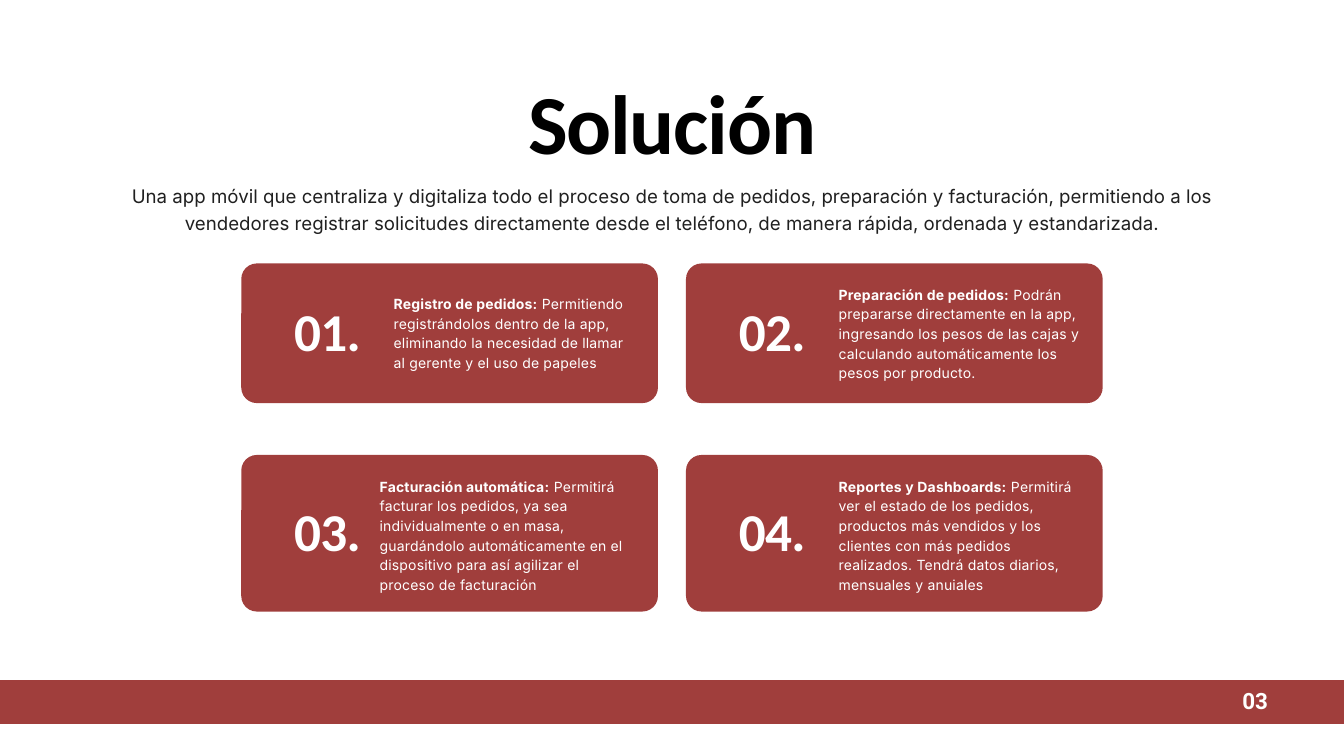
import pptx
import pptx.dml.color
import pptx.enum.shapes
import pptx.enum.text
import pptx.util

Cm, Pt = pptx.util.Cm, pptx.util.Pt
ALIGN = pptx.enum.text.PP_ALIGN

COLORS = {"brick": "A03E3C", "white": "FFFFFF", "ink": "202020", "black": "000000"}

# Text styles: font attributes, colour, alignment, line height and tracking in points
STYLES = {
    "title": dict(font=dict(name="Calibri", size=Pt(90), bold=True),
                  color="black", align=ALIGN.CENTER, line=90, spacing=-1.3),
    "intro": dict(font=dict(name="Inter", size=Pt(20), bold=False),
                  color="ink", align=ALIGN.CENTER, line=28.8, spacing=0),
    "number": dict(font=dict(name="Calibri", size=Pt(57), bold=True),
                   color="white", align=ALIGN.CENTER, line=57, spacing=-0.8),
    "body": dict(font=dict(name="Inter", size=Pt(15), bold=False),
                 color="white", align=ALIGN.LEFT, line=21, spacing=0.2),
    "page": dict(font=dict(name="Roboto", size=Pt(24), bold=True),
                 color="white", align=ALIGN.RIGHT, line=34.6, spacing=0),
}


class Deck:
    def __init__(self, width, height):
        self.prs = pptx.Presentation()
        self.prs.slide_width, self.prs.slide_height = Cm(width), Cm(height)
        self.s = self.prs.slides.add_slide(self.prs.slide_layouts[6])

    def color(self, name):
        return pptx.dml.color.RGBColor.from_string(COLORS[name])

    def panel(self, x, y, w, h, radius):
        sp = self.s.shapes.add_shape(
            pptx.enum.shapes.MSO_SHAPE.ROUNDED_RECTANGLE, Cm(x), Cm(y), Cm(w), Cm(h))
        sp.adjustments[0] = radius / min(w, h)
        sp.shadow.inherit = False
        sp.fill.solid()
        sp.fill.fore_color.rgb = self.color("brick")
        sp.line.fill.background()

    def text(self, x, y, w, h, style, text, lead=""):
        """Add a text box; lead is an optional bold opening."""
        look = STYLES[style]
        tf = self.s.shapes.add_textbox(Cm(x), Cm(y), Cm(w), Cm(h)).text_frame
        frame = dict(word_wrap=True, margin_left=0, margin_top=0,
                     margin_right=0, margin_bottom=0)
        for key, value in frame.items():
            setattr(tf, key, value)
        p = tf.paragraphs[0]
        p.alignment, p.line_spacing = look["align"], Pt(look["line"])
        runs = [(lead, {"bold": True})] if lead else []
        for words, extra in runs + [(text, {})]:
            r = p.add_run()
            r.text = words
            for key, value in {**look["font"], **extra}.items():
                setattr(r.font, key, value)
            r.font.color.rgb = self.color(look["color"])
            if look["spacing"]:
                r.font._element.set("spc", str(round(look["spacing"] * 100)))


# Card grid
COLUMNS = (9.12, 25.93)
ROWS = ((9.96, 5.28, 1.72), (17.2, 5.92, 2.03))  # top, height, number offset
CARD_WIDTH = 15.75

# Body offset from the card (x, y), body size (w, h), heading, text
CARDS = [
    (5.76, 1.11, 9.02, 2.97, "Registro de pedidos:",
     " Permitiendo registrándolos dentro de la app, eliminando la necesidad "
     "de llamar al gerente y el uso de papeles"),
    (5.77, 0.76, 9.47, 3.71, "Preparación de pedidos:",
     " Podrán prepararse directamente en la app, ingresando los pesos de las "
     "cajas y calculando automáticamente los pesos por producto."),
    (5.23, 0.78, 9.55, 4.45, "Facturación automática:",
     " Permitirá facturar los pedidos, ya sea individualmente o en masa, "
     "guardándolo automáticamente en el dispositivo para así agilizar el "
     "proceso de facturación"),
    (5.77, 0.78, 9.47, 4.45, "Reportes y Dashboards:",
     " Permitirá ver el estado de los pedidos, productos más vendidos y los "
     "clientes con más pedidos realizados. Tendrá datos diarios, mensuales y "
     "anuiales"),
]


def main():
    deck = Deck(50.8, 28.58)

    # Heading
    deck.text(13.67, 3.3, 23.47, 3.33, "title", "Solución")
    deck.text(3.25, 6.83, 44.32, 1.98, "intro",
              "Una app móvil que centraliza y digitaliza todo el proceso de toma de "
              "pedidos, preparación y facturación, permitiendo a los vendedores "
              "registrar solicitudes directamente desde el teléfono, de manera "
              "rápida, ordenada y estandarizada.")

    # Numbered cards
    for i, (dx, dy, w, h, lead, body) in enumerate(CARDS):
        row, column = divmod(i, 2)
        x = COLUMNS[column]
        y, height, number_dy = ROWS[row]
        deck.panel(x, y, CARD_WIDTH, height, 0.59)
        deck.text(x + 0.76, y + number_dy, 5, 2.11, "number", f"{i + 1:02}.")
        deck.text(x + dx, y + dy, w, h, "body", body, lead)

    # Footer band and page number
    deck.panel(-2.08, 25.71, 54.96, 1.66, 0.2)
    deck.text(35.71, 25.78, 12.22, 1.24, "page", "03")

    deck.prs.save("out.pptx")


if __name__ == "__main__":
    main()
